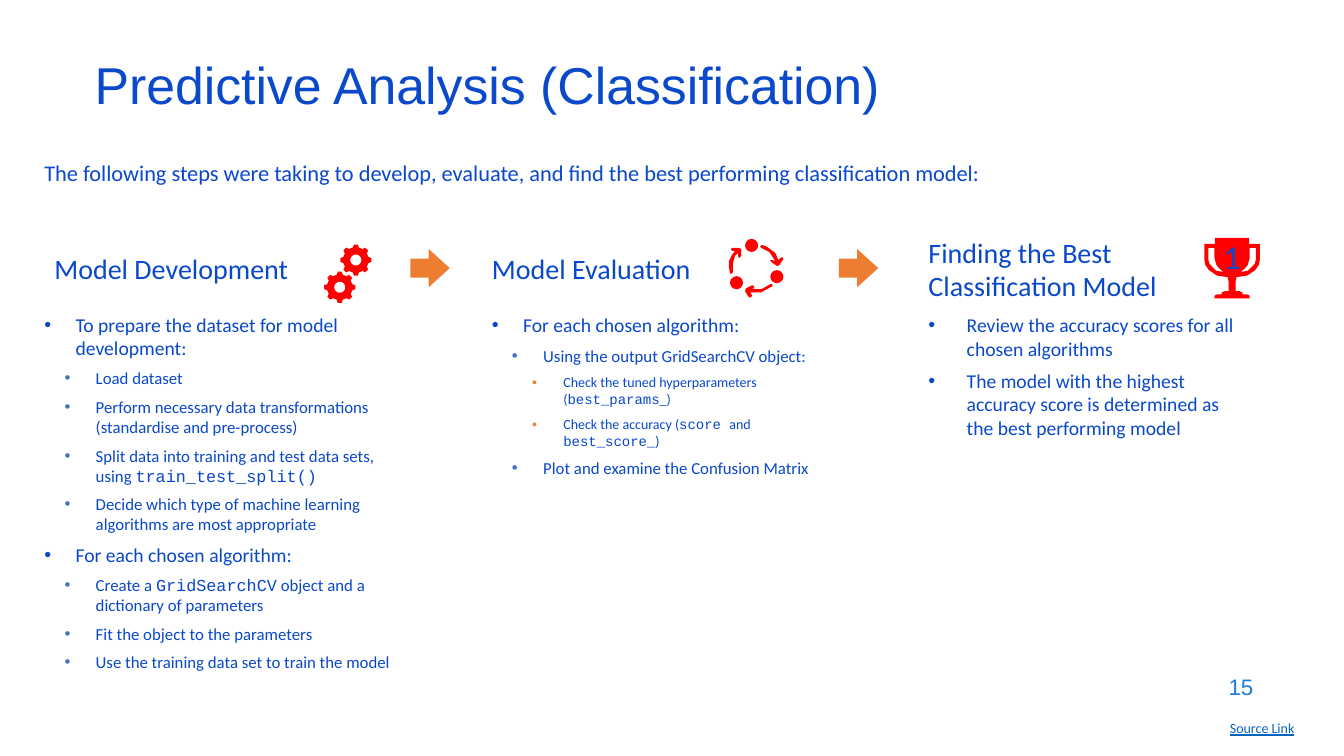
from dataclasses import dataclass
from math import cos, radians, sin

from lxml.etree import SubElement
from pptx import Presentation
from pptx.dml.color import RGBColor
from pptx.enum.shapes import MSO_SHAPE
from pptx.enum.text import MSO_ANCHOR, PP_ALIGN
from pptx.oxml.ns import qn
from pptx.util import Inches, Pt


@dataclass(frozen=True)
class Theme:
    ink: str = "0948CB"
    title: str = "0B49CB"
    number: str = "1C7DDB"
    link: str = "0563C1"
    arrow: str = "ED7D31"
    icon: str = "FF0000"
    bullets: tuple = (None, "4472C4", "ED7D31")
    body: str = "Calibri"
    display: str = "Arial"
    code: str = "Courier New"
    title_size: int = 37
    badge_size: int = 24
    heading_size: int = 20
    lead_size: int = 16
    link_size: int = 10
    level_sizes: tuple = (14, 12, 10)


T = Theme()

DEVELOPMENT = [
    (0, "To prepare the dataset for model development:"),
    (1, "Load dataset"),
    (1, "Perform necessary data transformations (standardise and pre-process)"),
    (1, "Split data into training and test data sets, using `train_test_split()`"),
    (1, "Decide which type of machine learning algorithms are most appropriate"),
    (0, "For each chosen algorithm:"),
    (1, "Create a `GridSearchCV` object and a dictionary of parameters"),
    (1, "Fit the object to the parameters"),
    (1, "Use the training data set to train the model"),
]
EVALUATION = [
    (0, "For each chosen algorithm:"),
    (1, "Using the output GridSearchCV object:"),
    (2, "Check the tuned hyperparameters (`best_params`_)"),
    (2, "Check the accuracy (`score `and `best_score_`)"),
    (1, "Plot and examine the Confusion Matrix"),
]
SELECTION = [
    (0, "Review the accuracy scores for all chosen algorithms"),
    (0, "The model with the highest accuracy score is determined as the best performing model"),
]

CYCLE_ARROWS = [
    [(32, 9), (40, 13), (46, 22), (43, 21), (41, 21), (42, 23), (48, 27), (50, 26),
     (54, 20), (53, 18), (51, 19), (49, 21), (46, 14), (38, 8), (33, 6), (31, 7)],
    [(1, 34), (2, 35), (4, 33), (4, 24), (6, 17), (9, 14), (9, 17), (10, 19), (12, 17),
     (12, 10), (10, 9), (3, 9), (2, 10), (3, 12), (6, 12), (3, 16), (0, 22), (0, 28)],
    [(41, 45), (32, 50), (22, 50), (25, 49), (25, 47), (23, 46), (17, 49), (16, 52),
     (20, 58), (22, 58), (23, 56), (21, 53), (32, 53), (43, 47), (43, 45)],
]
CYCLE_DOTS = [(16, 0), (41, 31), (1, 37)]
CUP_HALF = [(0, 0), (17, 0), (17, 6), (27.5, 6), (27.5, 22), (26.5, 27), (23, 32),
            (15, 37.5), (4.5, 39), (3.5, 43), (3.5, 53), (7.5, 53), (10, 54),
            (10.5, 56), (14.5, 56), (17, 57), (17.5, 59), (17.5, 60)]
CUP_HANDLE = [(23.5, 10), (17.5, 10), (17.5, 20), (15.5, 27), (13, 30), (8.5, 34),
              (16, 32.5), (19.5, 29), (22.5, 25.5), (23.5, 22)]


def write(tf, text, *, size, color=T.ink, font=T.body, align=PP_ALIGN.LEFT, after=0,
          spacing=None, level=None, indent=0, underline=None, first=True):
    p = tf.paragraphs[0] if first else tf.add_paragraph()
    p.alignment, p.space_after, p.line_spacing = align, Pt(after), spacing
    if level is not None:
        p.level = level
        pPr = p._p.get_or_add_pPr()
        pPr.set("marL", str(Inches(indent + 0.2 * level)))
        pPr.set("indent", str(-Inches(indent)))
        if T.bullets[level]:
            SubElement(SubElement(pPr, qn("a:buClr")), qn("a:srgbClr"), val=T.bullets[level])
        SubElement(pPr, qn("a:buFont"), typeface=T.display)
        SubElement(pPr, qn("a:buChar"), char="•")
    for i, part in enumerate(text.split("`")):
        if part:
            r = p.add_run()
            r.text = part
            r.font.size, r.font.underline = Pt(size), underline
            r.font.name = T.code if i % 2 else font
            r.font.color.rgb = RGBColor.from_string(color)


def text_frame(s, x, y, w, h, anchor=MSO_ANCHOR.TOP, inset=True, wrap=True):
    tf = s.shapes.add_textbox(Inches(x), Inches(y), Inches(w), Inches(h)).text_frame
    tf.word_wrap, tf.vertical_anchor = wrap, anchor
    if not inset:
        tf.margin_left = tf.margin_top = tf.margin_right = tf.margin_bottom = 0
    return tf


def paint(sp, color):
    sp.shadow.inherit = False
    sp.fill.solid()
    sp.fill.fore_color.rgb = RGBColor.from_string(color)
    sp.line.fill.background()
    return sp


def preset(s, kind, x, y, w, h, color):
    return paint(s.shapes.add_shape(kind, Inches(x), Inches(y), Inches(w), Inches(h)), color)


def outline(s, x, y, contours):
    scaled = [[(10 * px, 10 * py) for px, py in contour] for contour in contours]
    builder = s.shapes.build_freeform(*scaled[0][0], scale=Inches(1) / 1000)
    for i, contour in enumerate(scaled):
        if i:
            builder.move_to(*contour[0])
        builder.add_line_segments(contour[1:], close=True)
    return paint(builder.convert_to_shape(Inches(x), Inches(y)), T.icon)


def polar(radius, angle):
    return radius * cos(radians(angle)), radius * sin(radians(angle))


def gears(s, x, y):
    teeth = [polar(radius, 45 * i + turn) for i in range(8)
             for radius, turn in ((12.8, -13.5), (15.5, -7.5), (15.5, 7.5), (12.8, 13.5))]
    hole = [polar(5.5, -15 * i) for i in range(24)]
    for dx, dy in ((0.31, 0.16), (0.15, 0.43)):
        outline(s, x + dx, y + dy, [teeth, hole])


def cycle(s, x, y):
    for arrow in CYCLE_ARROWS:
        outline(s, x, y, [arrow])
    for dx, dy in CYCLE_DOTS:
        preset(s, MSO_SHAPE.OVAL, x + dx / 100, y + dy / 100, 0.13, 0.13, T.icon)


def trophy(s, x, y):
    def mirrored(points):
        return [(-px, py) for px, py in points]

    cup = CUP_HALF + mirrored(CUP_HALF[:0:-1])
    sp = outline(s, x + 0.28, y, [cup, CUP_HANDLE, mirrored(CUP_HANDLE)])
    tf = sp.text_frame
    tf.margin_left = tf.margin_top = tf.margin_right = 0
    tf.margin_bottom = Inches(0.24)
    tf.vertical_anchor = MSO_ANCHOR.MIDDLE
    write(tf, "1", size=T.badge_size, align=PP_ALIGN.CENTER)


def header(s, x, y, w):
    tf = text_frame(s, x + 0.4, y, 11.5, 0.6, MSO_ANCHOR.MIDDLE)
    write(tf, "Predictive Analysis (Classification)", size=T.title_size, color=T.title,
          font=T.display, spacing=0.8)
    tf = text_frame(s, x, y + 0.99, w, 0.76, inset=False)
    write(tf, "The following steps were taking to develop, evaluate, and find the best "
          "performing classification model:", size=T.lead_size, after=6)


def column(s, x, y, w, h, heading, heading_w, items, icon, icon_at,
           indent=0.31, inset=True, arrow=True):
    tf = text_frame(s, x, y, heading_w, 0.79, MSO_ANCHOR.MIDDLE)
    write(tf, heading, size=T.heading_size, after=6)
    top = 0.79 if inset else 0.83
    tf = text_frame(s, x, y + top, w, h - top, inset=inset)
    for i, (level, text) in enumerate(items):
        write(tf, text, size=T.level_sizes[level], level=level, indent=indent,
              after=6, first=i == 0)
    icon(s, x + icon_at[0], y + icon_at[1])
    if arrow:
        sp = preset(s, MSO_SHAPE.RIGHT_ARROW, x + w, y + 0.2, 0.39, 0.38, T.arrow)
        sp.adjustments[0], sp.adjustments[1] = 0.5, 0.55


def footer(s, x, y):
    tf = text_frame(s, x, y, 3, 0.44, MSO_ANCHOR.MIDDLE)
    write(tf, "15", size=T.lead_size, color=T.number, font=T.display, align=PP_ALIGN.RIGHT)
    tf = text_frame(s, x + 2.57, y + 0.5, 0.86, 0.27, wrap=False)
    write(tf, "Source Link", size=T.link_size, color=T.link, underline=True)


def main():
    prs = Presentation()
    prs.slide_width, prs.slide_height = Inches(13.33), Inches(7.5)
    s = prs.slides.add_slide(prs.slide_layouts[6])
    header(s, 0.44, 0.59, 12.47)
    column(s, 0.44, 2.27, 3.63, 4.55, "Model Development", 3.78, DEVELOPMENT,
           gears, (2.78, 0.15), inset=False)
    column(s, 4.78, 2.27, 3.54, 4.55, "Model Evaluation", 2.79, EVALUATION,
           cycle, (2.45, 0.1))
    column(s, 9.11, 2.27, 3.38, 4.55, "Finding the Best Classification Model", 2.99,
           SELECTION, trophy, (2.83, 0.09), indent=0.38, arrow=False)
    footer(s, 9.53, 6.59)
    prs.save("out.pptx")


if __name__ == "__main__":
    main()
